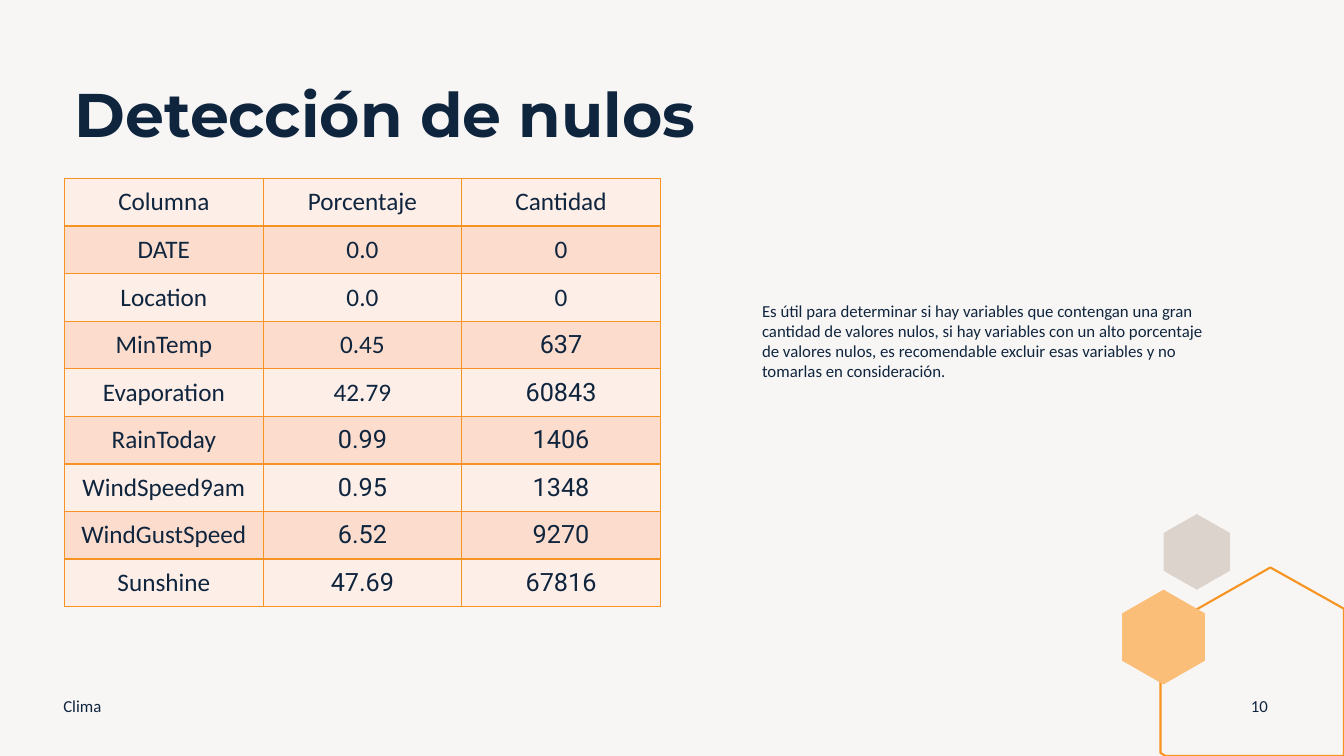
from lxml.etree import SubElement
from pptx import Presentation
from pptx.dml.color import RGBColor
from pptx.enum.text import MSO_ANCHOR as Anchor, PP_ALIGN as Align
from pptx.oxml.ns import qn
from pptx.util import Inches, Pt

TITLE = "Detección de nulos"
NOTE = (
    "Es útil para determinar si hay variables que contengan una gran cantidad de "
    "valores nulos, si hay variables con un alto porcentaje de valores nulos, es "
    "recomendable excluir esas variables y no tomarlas en consideración."
)
FOOTER, NUMBER = "Clima", "10"
NULLS = [
    ("Columna", "Porcentaje", "Cantidad"),
    ("DATE", "0.0", "0"),
    ("Location", "0.0", "0"),
    ("MinTemp", "0.45", "637"),
    ("Evaporation", "42.79", "60843"),
    ("RainToday", "0.99", "1406"),
    ("WindSpeed9am", "0.95", "1348"),
    ("WindGustSpeed", "6.52", "9270"),
    ("Sunshine", "47.69", "67816"),
]
COLORS = {
    "paper": "F8F6F5",
    "ink": "0F253E",
    "line": "F79320",
    "amber": "FABE79",
    "stone": "DCD3CC",
    "light": "FDEEE8",
    "dark": "FCDCCD",
}
BODY, HEADING, DIGITS = "Calibri", "Montserrat", "Roboto"
FIRST_DIGITS_ROW = (len(NULLS), 5, 3)
WIDTH, HEIGHT = 13.33, 7.5
TABLE_AREA = (0.64, 1.77, 5.91, 4.25)
FOOTER_TOP, FOOTER_HEIGHT = 6.8, 0.4


def color(name):
    return RGBColor.from_string(COLORS[name])


def style(para, size, font=BODY, align=Align.LEFT, bold=False):
    para.alignment = align
    for span in para.runs:
        span.font.size = Pt(size)
        span.font.name = font
        span.font.bold = bold
        span.font.color.rgb = color("ink")


def add_text(page, text, area, size=12, anchor=Anchor.MIDDLE, **look):
    box = page.shapes.add_textbox(*map(Inches, area))
    frame = box.text_frame
    frame.word_wrap = True
    frame.vertical_anchor = anchor
    frame.text = text
    style(frame.paragraphs[0], size, **look)
    return frame.paragraphs[0]


def hexagon(left, top, width, height):
    middle, right, quarter = left + width / 2, left + width, height / 4
    return [
        (middle, top), (right, top + quarter), (right, top + 3 * quarter),
        (middle, top + height), (left, top + 3 * quarter), (left, top + quarter),
    ]


def add_outline(page, points, fill=None, line=None):
    corners = [(Inches(x), Inches(y)) for x, y in points]
    builder = page.shapes.build_freeform(*corners[0])
    builder.add_line_segments(corners[1:], close=True)
    shape = builder.convert_to_shape()
    shape.shadow.inherit = False
    if fill:
        shape.fill.solid()
        shape.fill.fore_color.rgb = color(fill)
    else:
        shape.fill.background()
    if line:
        shape.line.color.rgb = color(line)
        shape.line.width = Pt(1.5)
    else:
        shape.line.fill.background()


def add_borders(cell):
    properties = cell._tc.get_or_add_tcPr()
    for side in ("a:lnL", "a:lnR", "a:lnT", "a:lnB"):
        border = SubElement(properties, qn(side), w=str(Pt(1)))
        fill = SubElement(border, qn("a:solidFill"))
        SubElement(fill, qn("a:srgbClr"), val=COLORS["line"])


def add_nulls_table(page):
    frame = page.shapes.add_table(len(NULLS), len(NULLS[0]), *map(Inches, TABLE_AREA))
    table = frame.table
    for row, values in enumerate(NULLS):
        for column, value in enumerate(values):
            cell = table.cell(row, column)
            add_borders(cell)
            cell.fill.solid()
            cell.fill.fore_color.rgb = color("dark" if row % 2 else "light")
            cell.vertical_anchor = Anchor.MIDDLE
            cell.text_frame.text = value
            font = DIGITS if row >= FIRST_DIGITS_ROW[column] else BODY
            style(cell.text_frame.paragraphs[0], 18, font, Align.CENTER)


def main():
    deck = Presentation()
    deck.slide_width, deck.slide_height = Inches(WIDTH), Inches(HEIGHT)
    page = deck.slides.add_slide(deck.slide_layouts[6])
    page.background.fill.solid()
    page.background.fill.fore_color.rgb = color("paper")

    add_outline(page, hexagon(11.54, 5.1, 0.66, 0.75), fill="stone")
    cropped = [(12.6, 5.63), (WIDTH, 6.04), (WIDTH, HEIGHT),
               (11.56, HEIGHT), (11.51, 7.47), (11.51, 6.25)]
    add_outline(page, cropped, line="line")
    add_outline(page, hexagon(11.13, 5.85, 0.82, 0.94), fill="amber")

    title = add_text(page, TITLE, (0.64, 0.79, 11.91, 1.55), 44, Anchor.TOP,
                     font=HEADING, bold=True)
    title.line_spacing = 0.9
    add_nulls_table(page)
    add_text(page, FOOTER, (0.53, FOOTER_TOP, 4.5, FOOTER_HEIGHT))
    add_text(page, NUMBER, (12.24, FOOTER_TOP, 0.5, FOOTER_HEIGHT), align=Align.CENTER)
    add_text(page, NOTE, (7.46, 2.37, 4.66, 2.02))
    deck.save("out.pptx")


if __name__ == "__main__":
    main()
